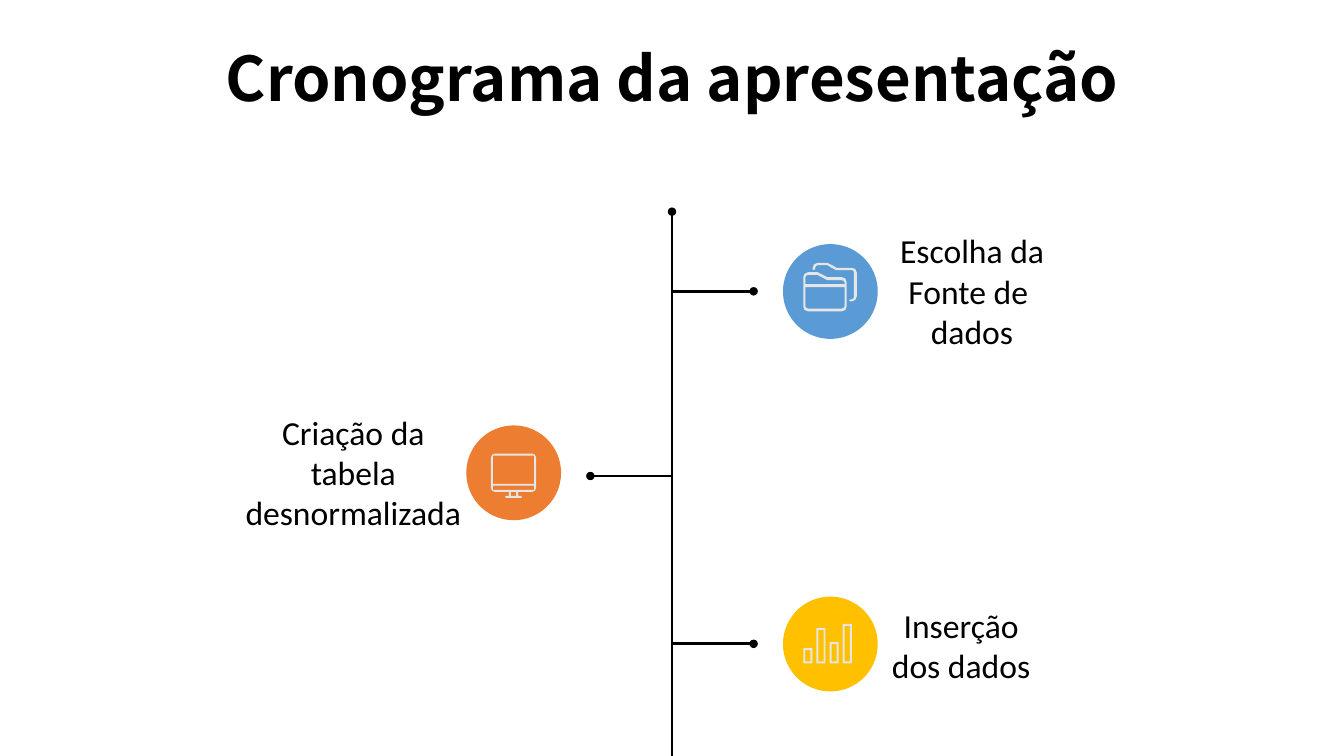
"""Build the presentation schedule slide: a vertical timeline with three steps."""
from lxml import etree
from pptx import Presentation
from pptx.dml.color import RGBColor
from pptx.enum import shapes, text
from pptx.oxml import ns
from pptx.util import Pt

BLACK, ICON = "000000", "E7E6E6"


def paint(fill, color):
    """Set a solid fill."""
    fill.solid()
    fill.fore_color.rgb = RGBColor.from_string(color)


def write(box, paragraphs, font="Calibri", size=24, bold=False):
    """Fill a box with centred paragraphs."""
    frame = box.text_frame
    frame.word_wrap = True
    frame.auto_size = text.MSO_AUTO_SIZE.NONE
    frame.vertical_anchor = text.MSO_ANCHOR.TOP
    frame.text = "\n".join(paragraphs)
    for para in frame.paragraphs:
        para.alignment = text.PP_ALIGN.CENTER
        for span in para.runs:
            span.font.name, span.font.size, span.font.bold = font, Pt(size), bold
            paint(span.font.fill, BLACK)


deck = Presentation()
deck.slide_width, deck.slide_height = Pt(960), Pt(540)
page = deck.slides.add_slide(deck.slide_layouts[5])

title = page.shapes.title
title.left, title.top, title.width, title.height = Pt(153.4), Pt(24.9), Pt(653.8), Pt(60.5)
write(title, ["Cronograma da apresentação"], "Noto Sans CJK KR", 44, True)

axis = 480
timeline = [
    (axis, 151.2, axis, 540),
    (538.3, 208.1, axis, 208.1),
    (421.7, 340, axis, 340),
    (538.3, 459.9, axis, 459.9),
]
for ends in timeline:
    branch = page.shapes.add_connector(shapes.MSO_CONNECTOR.STRAIGHT, *map(Pt, ends))
    branch.line.width = Pt(2)
    paint(branch.line.fill, BLACK)
    etree.SubElement(branch.line._get_or_add_ln(), ns.qn("a:headEnd"), type="oval")
    etree.SubElement(branch._element.spPr, ns.qn("a:effectLst"))

steps = [
    (559.3, 174.4, "5B9BD5", (627.7, 160.9, 133.2, 94.3), ["Escolha da Fonte de ", "dados"]),
    (333.1, 303.9, "ED7D31", (162.7, 290.5, 179.3, 94.3), ["Criação da tabela desnormalizada"]),
    (559.3, 426.2, "FFC000", (619.9, 428.4, 133.2, 65.5), ["Inserção dos dados"]),
]
for left, top, color, place, label in steps:
    disc = page.shapes.add_shape(shapes.MSO_SHAPE.OVAL, Pt(left), Pt(top), Pt(67.7), Pt(67.7))
    disc.shadow.inherit = False
    paint(disc.fill, color)
    disc.line.fill.background()
    write(page.shapes.add_textbox(*map(Pt, place)), label)

folder_front = [
    (573.8, 198), (574.7, 195.7), (577.4, 194.4), (583.9, 194.4), (587.5, 196.2), (591.1, 198),
    (601.2, 198), (603.9, 199), (604.8, 201.6), (604.8, 218.9), (603.9, 221.4), (601.2, 222.5),
    (577.4, 222.5), (574.7, 221.4), (573.8, 218.9)]
folder_tab = [
    (575.3, 203), (575.3, 198), (576, 196.8), (577.4, 196.4), (583.9, 196.4), (587.5, 198.3),
    (591.1, 200.2), (601.2, 200.2), (602.6, 200.6), (603.3, 201.6), (603.3, 203)]
folder_pocket = [
    (575.3, 205.2), (603.3, 205.2), (603.3, 218.9), (602.6, 220), (601.2, 220.5),
    (577.4, 220.5), (576, 220), (575.3, 218.9)]
folder_back = [
    (580.5, 192.3), (580.5, 191.5), (581.4, 189), (583.9, 187.8), (591.1, 187.8),
    (594.7, 189.6), (597.6, 191.3), (608.4, 191.3), (611, 192.2), (612, 194.6),
    (612, 211.7), (611, 214.2), (608.4, 215.4), (607.7, 215.4), (606.5, 214.6),
    (607.7, 213.8), (608.4, 213.8), (609.6, 213.3), (610, 211.7), (610, 194.6),
    (609.6, 193.4), (608.4, 193), (597.6, 193), (594, 191.3), (591.1, 189.5),
    (583.9, 189.5), (582.8, 190.1), (582.3, 191.5), (582.3, 192.3), (581.4, 193.1)]
monitor = [
    (353.5, 324), (351.5, 324.9), (350.6, 326.9), (350.6, 348.5), (351.5, 350.5),
    (353.5, 351.4), (363.6, 351.4), (363.6, 354.2), (361.4, 354.2), (360.7, 355),
    (361.4, 355.7), (372.2, 355.7), (373, 355), (372.2, 354.2), (370.1, 354.2),
    (370.1, 351.4), (380.2, 351.4), (382.1, 350.5), (383, 348.5), (383, 326.9),
    (382.1, 324.9), (380.2, 324)]
monitor_windows = [(365, 351.4, 368.6, 354.2), (352.1, 347, 381.6, 349.9),
                   (352.1, 325.4, 381.6, 345.6)]
bar_base, bar_width, edge = 473.8, 6.5, 1.4
bar_windows = []
for index, height in enumerate([10.8, 25.2, 15.1, 28.1]):
    left = 573.8 + 9.4 * index
    outer = (left, bar_base - height, left + bar_width, bar_base)
    inner = (outer[0] + edge, outer[1] + edge, outer[2] - edge, outer[3] - edge)
    bar_windows += [outer, inner]

icons = [([folder_front, folder_tab, folder_pocket, folder_back], []),
         ([monitor], monitor_windows),
         ([], bar_windows)]
for outlines, windows in icons:
    contours = outlines + [[(left, top), (right, top), (right, bottom), (left, bottom)]
                           for left, top, right, bottom in windows]
    grid = [[(round(x * 100), round(y * 100)) for x, y in contour] for contour in contours]
    builder = page.shapes.build_freeform(*grid[0][0], scale=Pt(1) / 100)
    for contour in grid:
        builder.move_to(*contour[0])
        builder.add_line_segments(contour[1:], close=True)
    icon = builder.convert_to_shape()
    icon.shadow.inherit = False
    paint(icon.fill, ICON)
    icon.line.fill.background()

deck.save("out.pptx")
